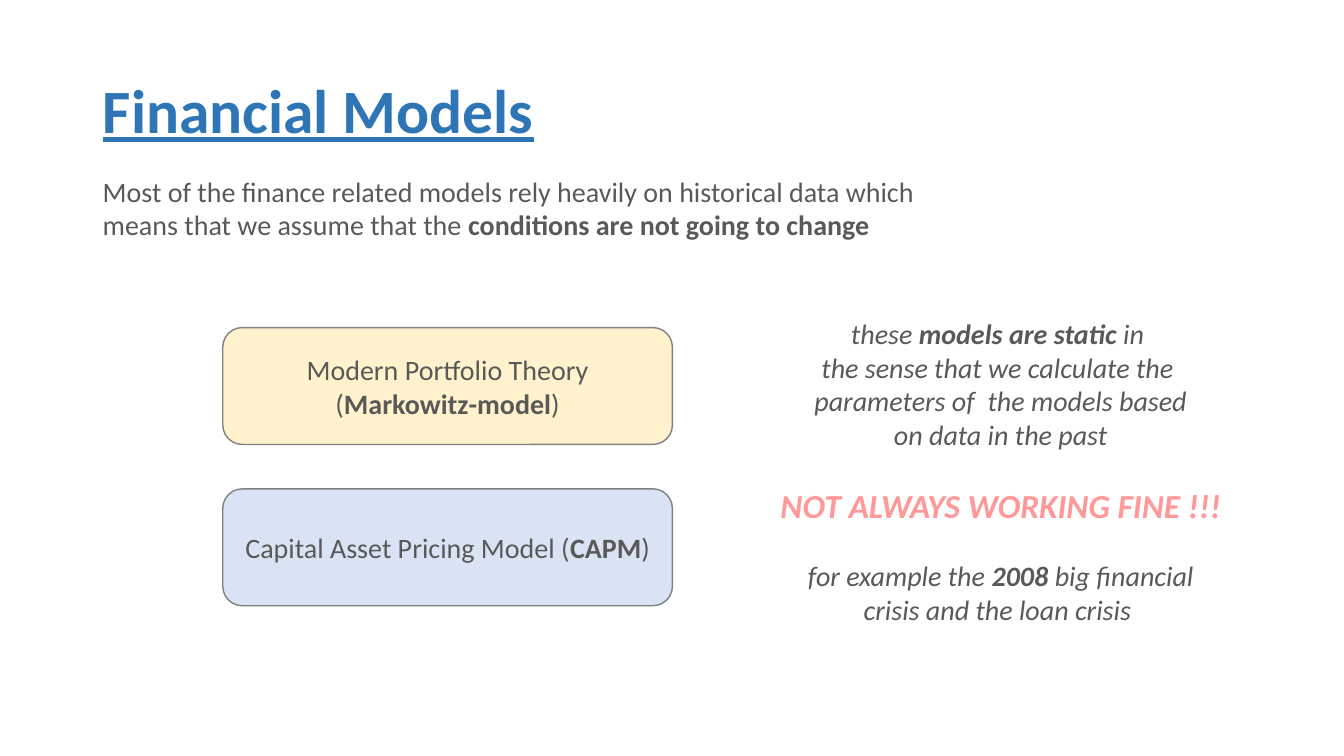
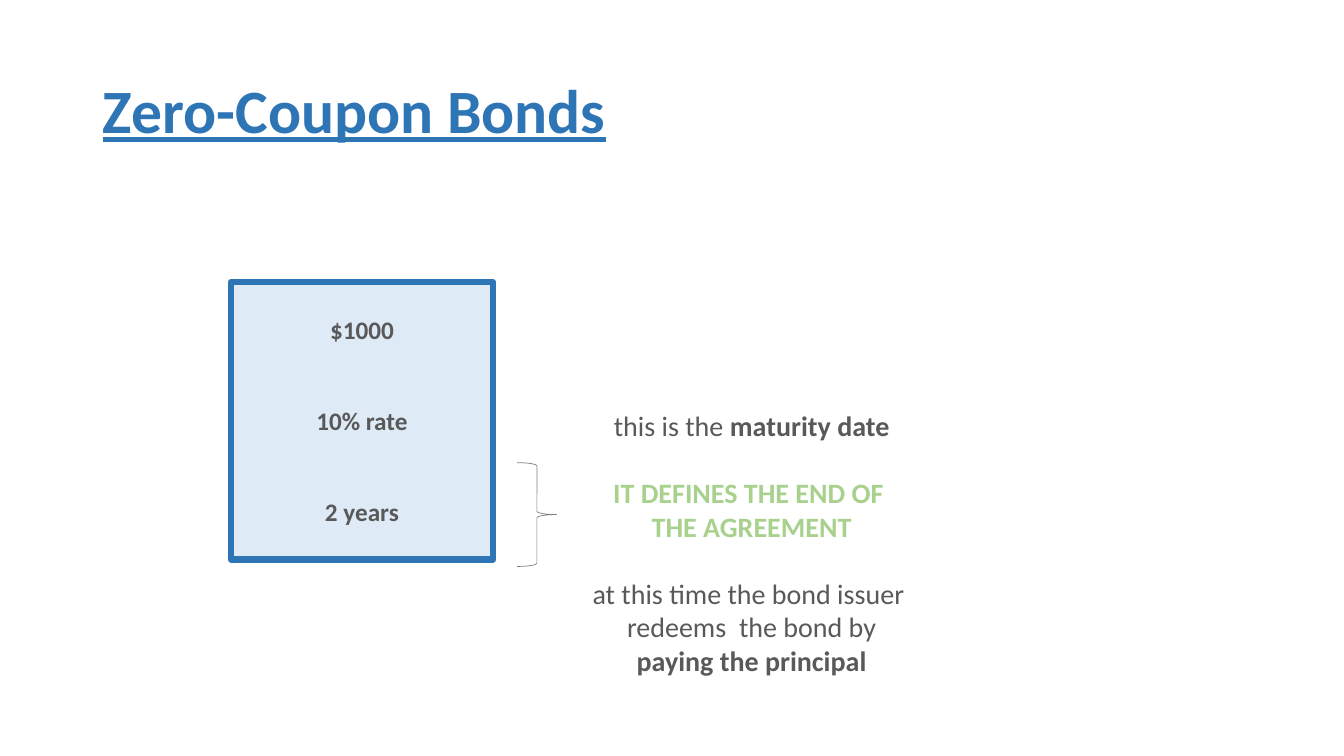
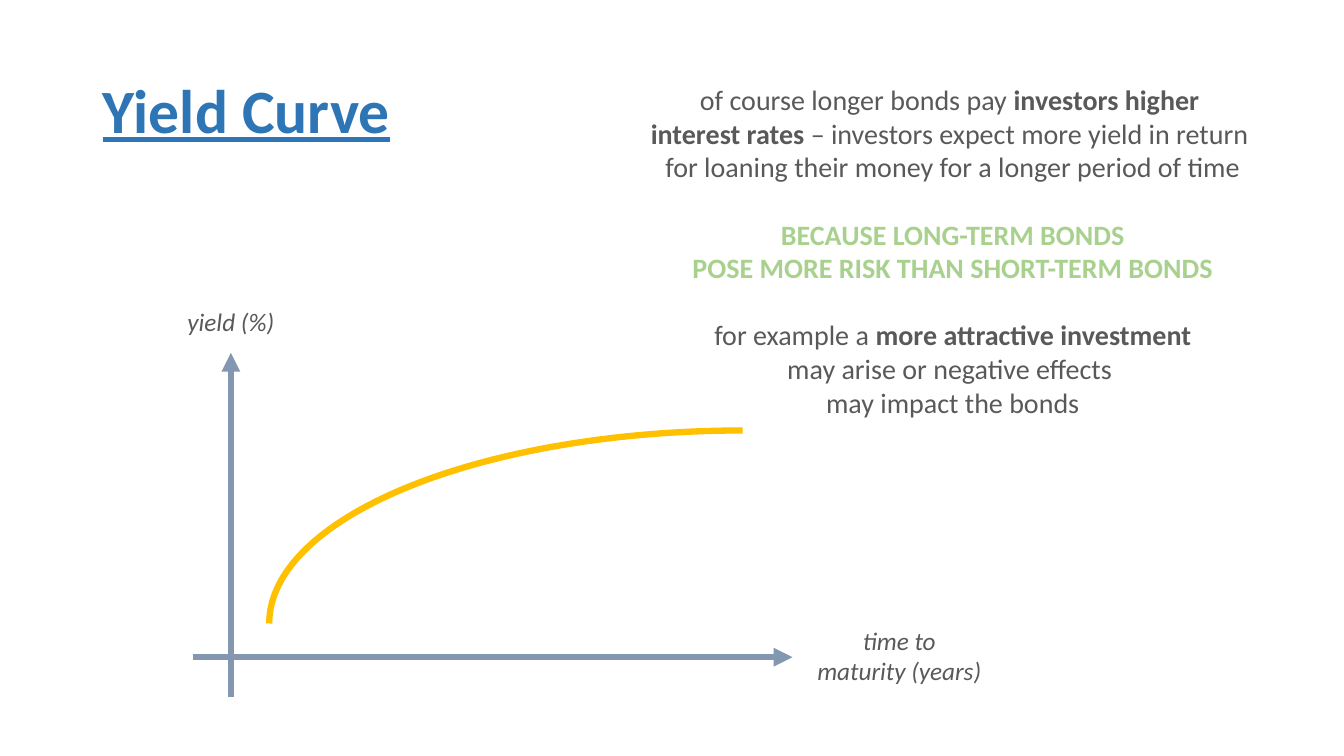
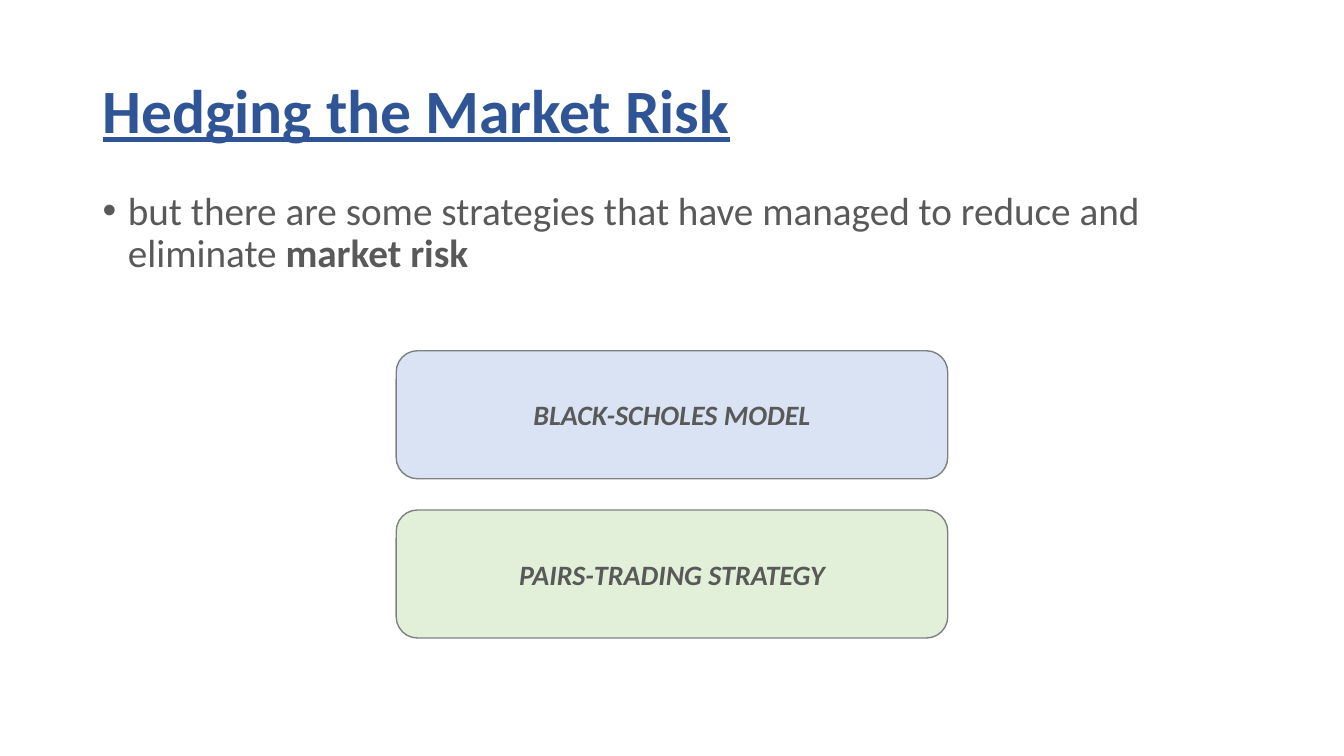
from lxml import etree
from pptx import Presentation
from pptx.dml.color import RGBColor
from pptx.enum import shapes, text as text_enum
from pptx.oxml import ns
from pptx.util import Inches, Pt

FONT = "Calibri"
BLUE = RGBColor(0x2E, 0x75, 0xB6)
NAVY = RGBColor(0x2F, 0x55, 0x97)
GREY = RGBColor(0x59, 0x59, 0x59)
OUTLINE = RGBColor(0x80, 0x80, 0x80)
CREAM = RGBColor(0xFF, 0xF2, 0xCC)
PALE_BLUE = RGBColor(0xDA, 0xE3, 0xF3)
ICE = RGBColor(0xDE, 0xEB, 0xF7)
PALE_GREEN = RGBColor(0xE2, 0xF0, 0xD9)
GREEN = RGBColor(0xA9, 0xD1, 0x8E)
PINK = RGBColor(0xFF, 0x99, 0x99)
STEEL = RGBColor(0x84, 0x97, 0xB0)
GOLD = RGBColor(0xFF, 0xC0, 0x00)

LEFT = text_enum.PP_ALIGN.LEFT
CENTER = text_enum.PP_ALIGN.CENTER
SHAPE = shapes.MSO_SHAPE


def add_bullet(paragraph, indent):
    properties = paragraph._p.get_or_add_pPr()
    properties.set("marL", str(indent))
    properties.set("indent", str(-indent))
    etree.SubElement(properties, ns.qn("a:buFont")).set("typeface", "Arial")
    etree.SubElement(properties, ns.qn("a:buChar")).set("char", "•")


def write(frame, text, size=20, color=GREY, bold=False, italic=False,
          underline=False, align=LEFT, spacing=None, gap=0, bullet=False):
    """Append one paragraph per line; asterisks enclose bold words."""
    for index, line in enumerate(text.split("\n")):
        paragraph = frame.add_paragraph() if frame.text else frame.paragraphs[0]
        if bullet:
            add_bullet(paragraph, Inches(0.25))
        paragraph.alignment = align
        if spacing:
            paragraph.line_spacing = spacing
        if gap and index == 0:
            paragraph.space_before = Pt(gap)
        for position, part in enumerate(line.split("*")):
            if part:
                run = paragraph.add_run()
                run.text = part
                font = run.font
                font.name, font.size = FONT, Pt(size)
                font.bold = bold or position % 2 == 1
                font.italic, font.underline = italic, underline
                font.color.rgb = color


class Deck:
    def __init__(self):
        self.presentation = Presentation()
        self.presentation.slide_width = Inches(13.33)
        self.presentation.slide_height = Inches(7.5)
        self.slide = None

    def add_slide(self, title, color=BLUE):
        layout = self.presentation.slide_layouts.get_by_name("Title Only")
        self.slide = self.presentation.slides.add_slide(layout)
        shape = self.slide.shapes.title
        shape.left, shape.top = Inches(0.92), Inches(0.4)
        shape.width, shape.height = Inches(11.5), Inches(1.45)
        frame = shape.text_frame
        frame.auto_size = text_enum.MSO_AUTO_SIZE.NONE
        frame.vertical_anchor = text_enum.MSO_ANCHOR.MIDDLE
        write(frame, title, size=44, color=color, bold=True, underline=True,
              spacing=0.9)

    def text(self, left, top, width, height, text, **style):
        box = self.slide.shapes.add_textbox(
            Inches(left), Inches(top), Inches(width), Inches(height))
        box.text_frame.word_wrap = True
        write(box.text_frame, text, **style)
        return box.text_frame

    def shape(self, kind, left, top, width, height, fill=None, line=OUTLINE,
              weight=1, rotation=0):
        shape = self.slide.shapes.add_shape(
            kind, Inches(left), Inches(top), Inches(width), Inches(height))
        shape.shadow.inherit = False
        shape.rotation = rotation
        if fill is None:
            shape.fill.background()
        else:
            shape.fill.solid()
            shape.fill.fore_color.rgb = fill
        shape.line.color.rgb = line
        shape.line.width = Pt(weight)
        return shape

    def card(self, left, top, width, height, text, fill, **style):
        shape = self.shape(SHAPE.ROUNDED_RECTANGLE, left, top, width, height, fill)
        frame = shape.text_frame
        frame.word_wrap = True
        frame.vertical_anchor = text_enum.MSO_ANCHOR.MIDDLE
        write(frame, text, align=CENTER, **style)

    def arrow(self, start_x, start_y, end_x, end_y):
        connector = self.slide.shapes.add_connector(
            shapes.MSO_CONNECTOR.STRAIGHT, Inches(start_x), Inches(start_y),
            Inches(end_x), Inches(end_y))
        connector.line.color.rgb = STEEL
        connector.line.width = Pt(4.5)
        line = connector.line._get_or_add_ln()
        etree.SubElement(line, ns.qn("a:tailEnd")).set("type", "triangle")
        etree.SubElement(connector._element.spPr, ns.qn("a:effectLst"))


def financial_models(deck):
    deck.add_slide("Financial Models")
    deck.text(0.92, 1.68, 8.33, 0.77,
              "Most of the finance related models rely heavily on historical data which\n"
              "means that we assume that the *conditions are not going to change*")
    models = [("Modern Portfolio Theory (*Markowitz-model*)", CREAM),
              ("Capital Asset Pricing Model (*CAPM*)", PALE_BLUE)]
    for index, (model, fill) in enumerate(models):
        deck.card(2.21, 3.25 + 1.6 * index, 4.46, 1.16, model, fill)
    style = dict(italic=True, align=CENTER)
    remarks = deck.text(7.5, 3.09, 4.85, 3.53,
                        "these *models are static *in \n"
                        "the sense that we calculate the \n"
                        "parameters of  the models based\n"
                        "on data in the past", **style)
    write(remarks, "NOT ALWAYS WORKING FINE !!!", size=24, color=PINK,
          bold=True, gap=24, **style)
    write(remarks, "for example the *2008* big financial\n"
          "crisis and the loan crisis ", gap=24, **style)


def zero_coupon_bonds(deck):
    deck.add_slide("Zero-Coupon Bonds")
    bond_left, bond_width = 2.29, 2.6
    deck.shape(SHAPE.RECTANGLE, bond_left, 2.8, bond_width, 2.75, ICE, BLUE, 4.5)
    for index, term in enumerate(["$1000", "10% rate", "2 years"]):
        deck.text(bond_left, 3.07 + 0.9 * index, bond_width, 0.4, term,
                  size=18, bold=True, align=CENTER)
    deck.shape(SHAPE.RIGHT_BRACE, 5.13, 4.59, 0.39, 1.03, weight=0.5)
    maturity = deck.text(5.76, 4, 3.39, 2.79, "this is the *maturity date*",
                         align=CENTER)
    write(maturity, "IT DEFINES THE END OF \nTHE AGREEMENT", color=GREEN,
          bold=True, align=CENTER, gap=24)
    write(maturity, "at this time the bond issuer \nredeems  the bond by\n"
          "*paying the principal*", align=CENTER, gap=24)


def yield_curve(deck):
    deck.add_slide("Yield Curve")
    deck.arrow(2.29, 6.91, 2.29, 3.5)
    deck.arrow(1.91, 6.52, 7.86, 6.52)
    deck.shape(SHAPE.ARC, 5.45, 1.49, 3.83, 9.39, line=GOLD, weight=4.5,
               rotation=270)
    axis_style = dict(size=18, italic=True, align=CENTER)
    deck.text(1.69, 2.99, 1.2, 0.4, "yield (%)", **axis_style)
    deck.text(7.92, 6.15, 2, 0.71, "time to\nmaturity (years)", **axis_style)
    reasons = deck.text(6.3, 0.77, 6.3, 3.47,
                        "of course longer bonds pay *investors higher *\n"
                        "*interest rates *– investors expect more yield in return \n"
                        "for loaning their money for a longer period of time",
                        align=CENTER)
    write(reasons, "BECAUSE LONG-TERM BONDS\nPOSE MORE RISK THAN SHORT-TERM BONDS",
          color=GREEN, bold=True, align=CENTER, gap=24)
    write(reasons, "for example a *more attractive investment*\n"
          "may arise or negative effects \nmay impact the bonds",
          align=CENTER, gap=24)


def hedging(deck):
    deck.add_slide("Hedging the Market Risk", NAVY)
    deck.text(0.92, 1.85, 11.5, 1.2,
              "but there are some strategies that have managed to reduce and "
              "eliminate *market risk*", size=28, spacing=0.9, bullet=True)
    strategies = [("BLACK-SCHOLES MODEL", PALE_BLUE),
                  ("PAIRS-TRADING STRATEGY", PALE_GREEN)]
    for index, (strategy, fill) in enumerate(strategies):
        deck.card(3.93, 3.48 + 1.58 * index, 5.47, 1.27, strategy, fill,
                  bold=True, italic=True)


def main():
    deck = Deck()
    for build in (financial_models, zero_coupon_bonds, yield_curve, hedging):
        build(deck)
    deck.presentation.save("out.pptx")


if __name__ == "__main__":
    main()
